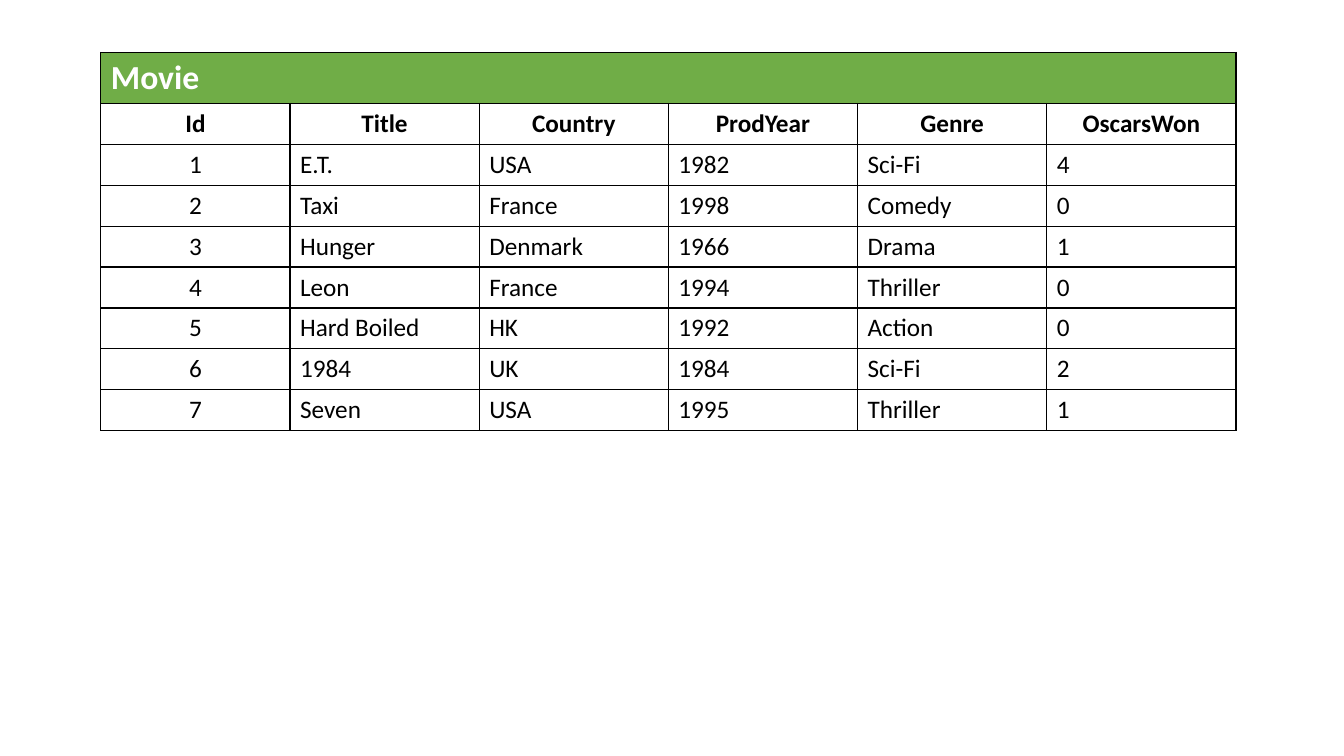
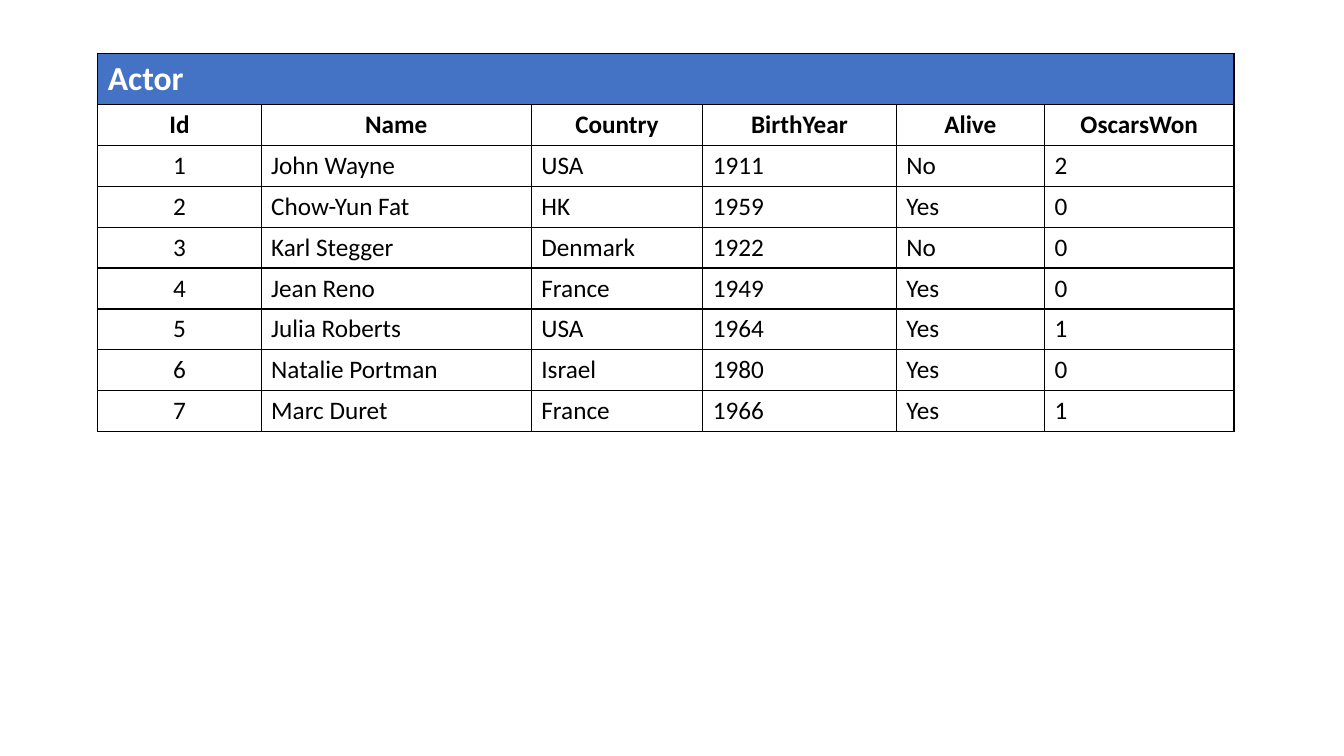
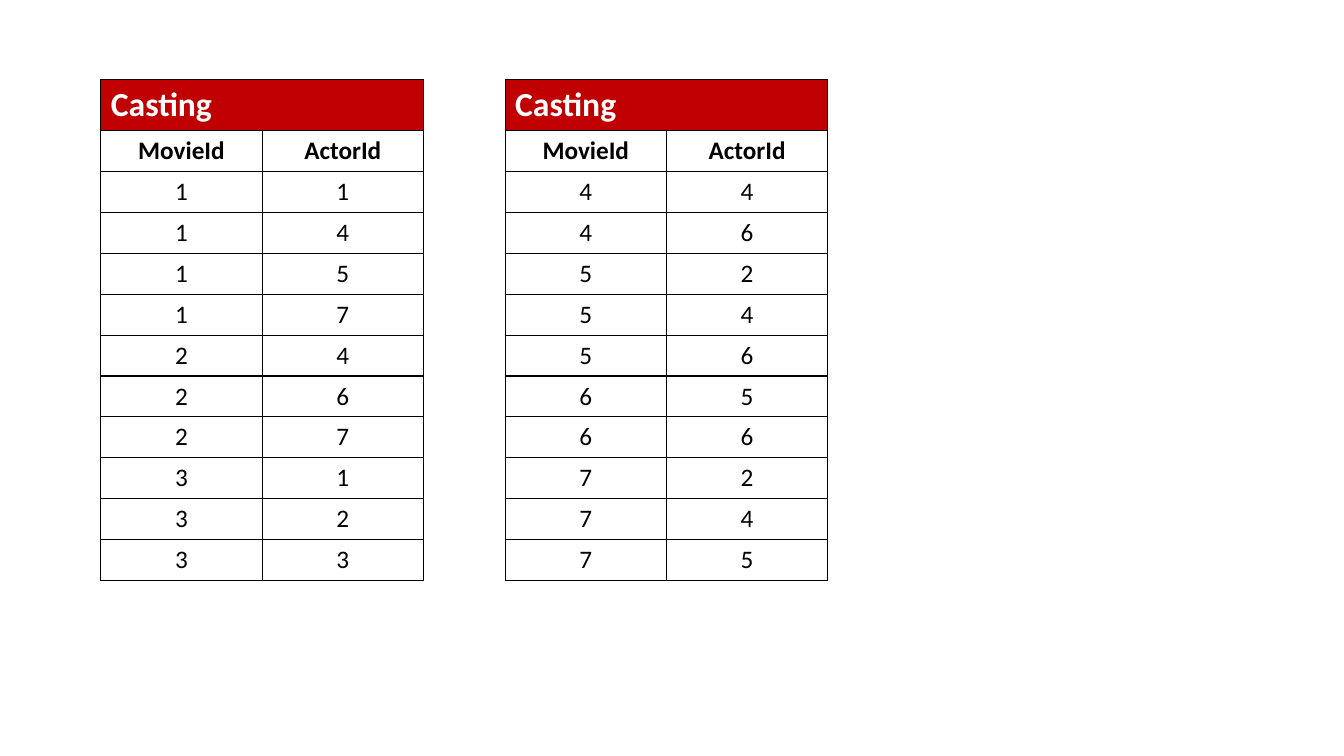
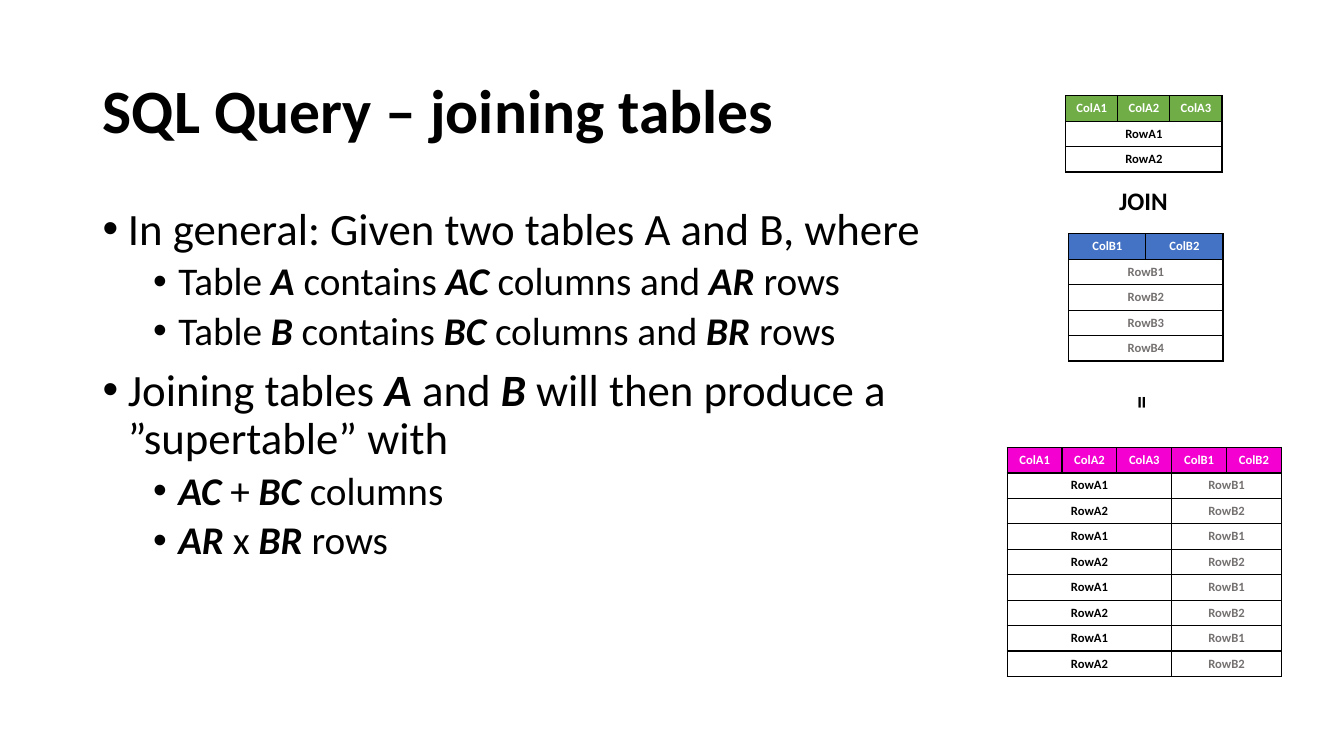
"""Build four slides that show database tables and how they are joined."""
import lxml.etree
import pptx
import pptx.util
import pptx.dml.color
import pptx.enum.text
import pptx.oxml.ns

Inches, Pt = pptx.util.Inches, pptx.util.Pt
RGBColor = pptx.dml.color.RGBColor
ALIGN = pptx.enum.text.PP_ALIGN
ANCHOR = pptx.enum.text.MSO_ANCHOR
AUTO_SIZE = pptx.enum.text.MSO_AUTO_SIZE
qn = pptx.oxml.ns.qn

BLACK = RGBColor(0x00, 0x00, 0x00)
WHITE = RGBColor(0xFF, 0xFF, 0xFF)
GREY = RGBColor(0x76, 0x71, 0x71)
GREEN = RGBColor(0x70, 0xAD, 0x47)
BLUE = RGBColor(0x44, 0x72, 0xC4)
RED = RGBColor(0xC0, 0x00, 0x00)
MAGENTA = RGBColor(0xF4, 0x00, 0xD1)
FONT = "Calibri"
TITLE_ONLY, BLANK = 5, 6

MOVIES = [
    ("Id", "Title", "Country", "ProdYear", "Genre", "OscarsWon"),
    ("1", "E.T.", "USA", "1982", "Sci-Fi", "4"),
    ("2", "Taxi", "France", "1998", "Comedy", "0"),
    ("3", "Hunger", "Denmark", "1966", "Drama", "1"),
    ("4", "Leon", "France", "1994", "Thriller", "0"),
    ("5", "Hard Boiled", "HK", "1992", "Action", "0"),
    ("6", "1984", "UK", "1984", "Sci-Fi", "2"),
    ("7", "Seven", "USA", "1995", "Thriller", "1"),
]
ACTORS = [
    ("Id", "Name", "Country", "BirthYear", "Alive", "OscarsWon"),
    ("1", "John Wayne", "USA", "1911", "No", "2"),
    ("2", "Chow-Yun Fat", "HK", "1959", "Yes", "0"),
    ("3", "Karl Stegger", "Denmark", "1922", "No", "0"),
    ("4", "Jean Reno", "France", "1949", "Yes", "0"),
    ("5", "Julia Roberts", "USA", "1964", "Yes", "1"),
    ("6", "Natalie Portman", "Israel", "1980", "Yes", "0"),
    ("7", "Marc Duret", "France", "1966", "Yes", "1"),
]
CASTING = [(1, "1457"), (2, "467"), (3, "123"), (4, "46"), (5, "246"), (6, "56"), (7, "245")]
POINTS = [
    (0, "In general: Given two tables A and B, where"),
    (1, "Table *A* contains *AC* columns and *AR* rows"),
    (1, "Table *B* contains *BC* columns and *BR* rows"),
    (0, "Joining tables *A* and *B* will then produce a ”supertable” with"),
    (1, "*AC* + *BC* columns"),
    (1, "*AR* x *BR* rows"),
]


def add_text(p, text, size=18, color=BLACK, bold=False, italic=False, align=ALIGN.LEFT):
    """Add one formatted run to a paragraph."""
    p.alignment = align
    r = p.add_run()
    r.text = text
    r.font.name, r.font.size = FONT, Pt(size)
    r.font.bold, r.font.italic = bold, italic
    r.font.color.rgb = color


class Deck:
    """Holds the presentation, its style and the current slide."""

    def __init__(self):
        """Start an empty widescreen presentation."""
        self.prs = pptx.Presentation()
        self.prs.slide_width, self.prs.slide_height = Inches(13.33), Inches(7.5)
        self.s = None

    def slide(self, title=None):
        """Add a slide, with a title if one is given."""
        layout = BLANK if title is None else TITLE_ONLY
        self.s = self.prs.slides.add_slide(self.prs.slide_layouts[layout])
        if title is not None:
            sp = self.s.shapes.title
            sp.left, sp.top = Inches(0.92), Inches(0.4)
            sp.width, sp.height = Inches(11.5), Inches(1.45)
            tf = sp.text_frame
            tf.auto_size, tf.vertical_anchor = AUTO_SIZE.NONE, ANCHOR.MIDDLE
            tf.paragraphs[0].line_spacing = 0.9
            add_text(tf.paragraphs[0], title, size=44, bold=True)

    def box(self, left, top, width, height, wrap=True):
        """Add an empty text box."""
        sp = self.s.shapes.add_textbox(Inches(left), Inches(top), Inches(width), Inches(height))
        sp.text_frame.word_wrap = wrap
        return sp

    def label(self, text, left, top, width, rotation=0):
        """Add a short bold label."""
        sp = self.box(left, top, width, 0.4, wrap=False)
        sp.rotation = rotation
        add_text(sp.text_frame.paragraphs[0], text, bold=True)

    def bullets(self, points, left, top, width, height):
        """Add a two-level list in which *marked* words are emphasised."""
        tf = self.box(left, top, width, height).text_frame
        for i, (level, text) in enumerate(points):
            p = tf.add_paragraph() if i else tf.paragraphs[0]
            pPr = p._p.get_or_add_pPr()
            pPr.set("marL", str(Inches(0.25 + 0.5 * level)))
            pPr.set("indent", str(Inches(-0.25)))
            lxml.etree.SubElement(pPr, qn("a:buFont")).set("typeface", "Arial")
            lxml.etree.SubElement(pPr, qn("a:buChar")).set("char", "•")
            p.level, p.line_spacing = level, 0.9
            if i:
                p.space_before = Pt(5 if level else 10)
            for n, part in enumerate(text.split("*")):
                if part:
                    marked = n % 2 == 1
                    add_text(p, part, size=28 if level else 32, bold=marked, italic=marked)

    def border(self, cell):
        """Draw a thin black line on each side of a cell."""
        tcPr = cell._tc.get_or_add_tcPr()
        for side in "LRTB":
            ln = lxml.etree.SubElement(tcPr, qn("a:ln" + side), w=str(Pt(1)))
            fill = lxml.etree.SubElement(ln, qn("a:solidFill"))
            lxml.etree.SubElement(fill, qn("a:srgbClr")).set("val", str(BLACK))

    def table(self, left, top, widths, rows):
        """Add a table from rows of (text, span, fill, format) cells."""
        heights = [Pt(row[0][3]["size"] * 1.22) + Inches(0.1) for row in rows]
        frame = self.s.shapes.add_table(len(rows), len(widths), Inches(left), Inches(top),
                                        Inches(sum(widths)), sum(heights))
        tbl = frame.table
        tbl.first_row = tbl.horz_banding = False
        for column, width in zip(tbl.columns, widths):
            column.width = Inches(width)
        for i, row in enumerate(rows):
            tbl.rows[i].height = heights[i]
            j = 0
            for text, span, fill, style in row:
                for k in range(j, j + span):
                    cell = tbl.cell(i, k)
                    self.border(cell)
                    cell.fill.solid()
                    cell.fill.fore_color.rgb = fill
                if span > 1:
                    tbl.cell(i, j).merge(tbl.cell(i, j + span - 1))
                add_text(tbl.cell(i, j).text_frame.paragraphs[0], text, **style)
                j += span

    def data_table(self, name, color, left, top, widths, records, centred=1):
        """Add a table with a name band, a heading row and records."""
        rows = [[(name, len(widths), color, dict(size=24, color=WHITE, bold=True))]]
        for i, record in enumerate(records):
            rows.append([
                (text, 1, WHITE, dict(size=18, bold=i == 0,
                                      align=ALIGN.CENTER if i == 0 or j < centred else ALIGN.LEFT))
                for j, text in enumerate(record)])
        self.table(left, top, widths, rows)

    def mini_table(self, color, left, top, width, heads, records):
        """Add a small table whose records are (text, span, colour) cells."""
        style = dict(size=9, bold=True, align=ALIGN.CENTER)
        rows = [[(head, 1, color, dict(style, color=WHITE)) for head in heads]]
        for record in records:
            rows.append([(text, span, WHITE, dict(style, color=ink))
                         for text, span, ink in record])
        self.table(left, top, [width / len(heads)] * len(heads), rows)


def main():
    """Build and save the slides."""
    deck = Deck()
    deck.slide()
    deck.data_table("Movie", GREEN, 1, 0.52, [11.26 / 6] * 6, MOVIES)

    deck.slide()
    deck.data_table("Actor", BLUE, 0.97, 0.53, [1.62, 2.68, 1.7, 1.92, 1.47, 1.88], ACTORS)

    deck.slide()
    pairs = [(str(movie), actor) for movie, actors in CASTING for actor in actors]
    half = len(pairs) // 2
    for left, part in ((1, pairs[:half]), (5.01, pairs[half:])):
        deck.data_table("Casting", RED, left, 0.79, [1.6, 1.6],
                        [("MovieId", "ActorId")] + part, centred=2)

    deck.slide("SQL Query – joining tables")
    deck.bullets(POINTS, 0.92, 2, 8.52, 4.76)
    a_heads = [f"ColA{n}" for n in (1, 2, 3)]
    b_heads = [f"ColB{n}" for n in (1, 2)]
    a_rows = [(f"RowA{n}", 3, BLACK) for n in (1, 2)]
    b_rows = [(f"RowB{n}", 2, GREY) for n in (1, 2, 3, 4)]
    deck.mini_table(GREEN, 10.57, 0.95, 1.55, a_heads, [[a] for a in a_rows])
    deck.mini_table(BLUE, 10.6, 2.32, 1.53, b_heads, [[b] for b in b_rows])
    deck.mini_table(MAGENTA, 9.99, 4.44, 2.72, a_heads + b_heads,
                    list(zip(a_rows, b_rows)) * 4)
    deck.label("JOIN", 11, 1.79, 0.69)
    deck.label("=", 11.18, 3.8, 0.33, rotation=90)
    deck.prs.save("out.pptx")


if __name__ == "__main__":
    main()
